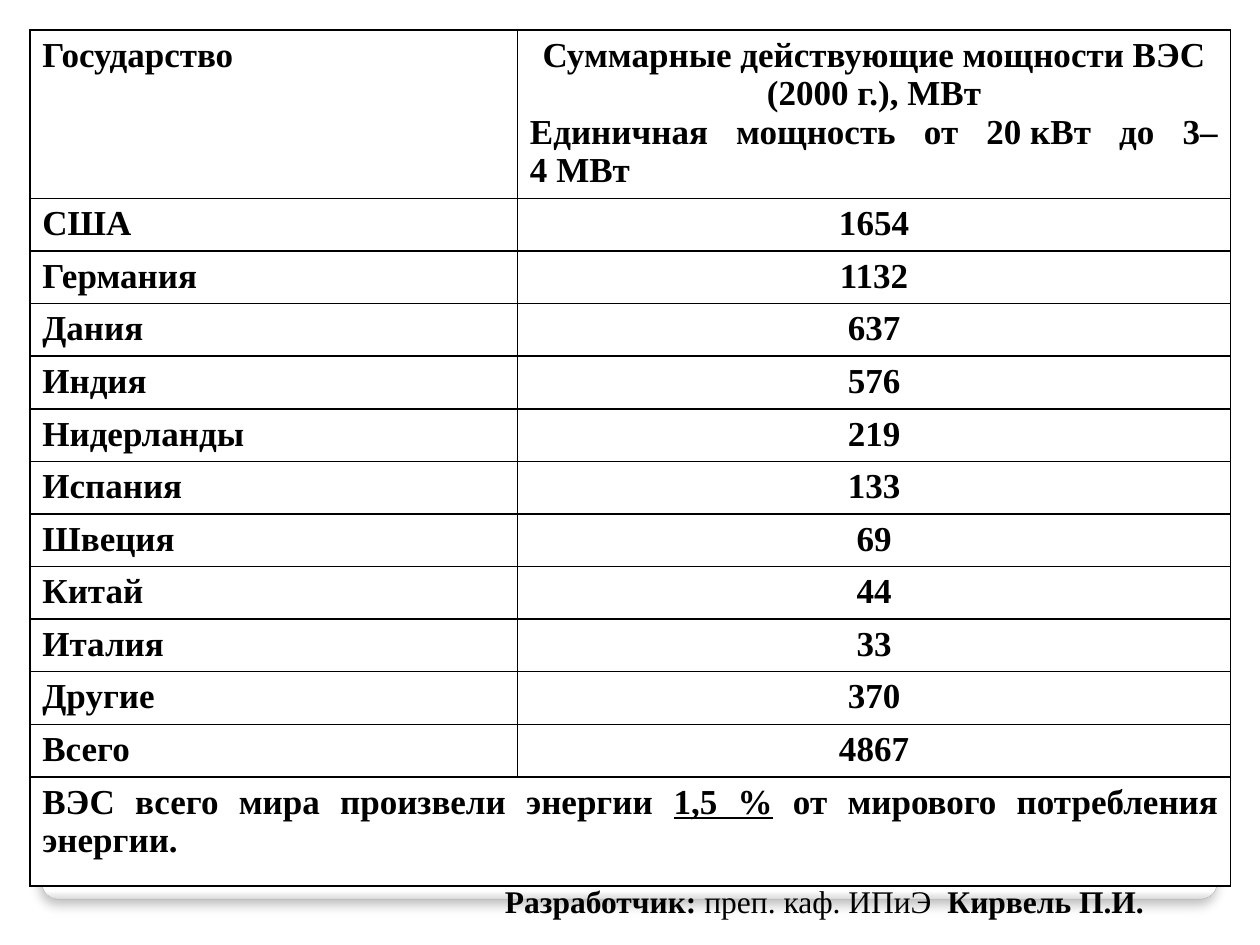
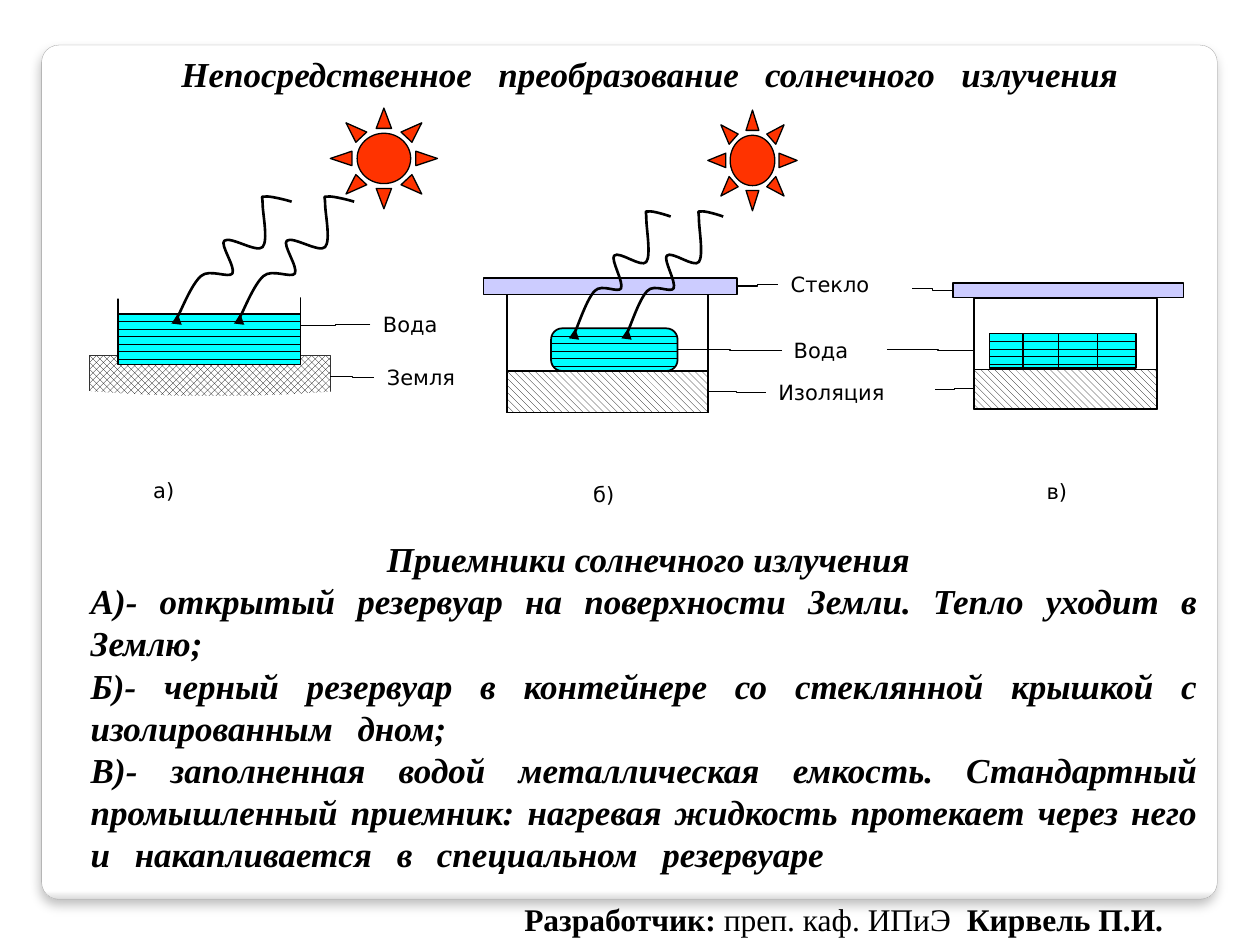
from dataclasses import dataclass

from lxml.etree import SubElement
from pptx import Presentation
from pptx.dml.color import RGBColor
from pptx.enum.dml import MSO_PATTERN as Pattern
from pptx.enum.shapes import MSO_CONNECTOR as Link, MSO_SHAPE as Shape
from pptx.enum.text import PP_ALIGN as Align
from pptx.oxml.ns import qn
from pptx.util import Cm, Pt


@dataclass(frozen=True)
class Theme:
    ink: str = "000000"
    paper: str = "FFFFFF"
    panel_shade: str = "DADADA"
    panel_edge: str = "A4A4A4"
    ground_edge: str = "333333"
    water: str = "00FFFF"
    glass: str = "CCCCFF"
    sun: str = "FF3300"
    serif: str = "Times New Roman"
    sans: str = "DejaVu Sans"
    body_size: float = 20
    footer_size: float = 18
    label_size: float = 12
    thin: float = 0.75
    medium: float = 1
    ray_width: float = 1.5


THEME = Theme()

# Slide 1 data: installed wind power by country, MW
WIND_POWER = [
    ("США", 1654), ("Германия", 1132), ("Дания", 637), ("Индия", 576),
    ("Нидерланды", 219), ("Испания", 133), ("Швеция", 69), ("Китай", 44),
    ("Италия", 33), ("Другие", 370), ("Всего", 4867),
]

# Slide 2 data: "|" marks a widened word gap
RECEIVERS = [
    "А)- открытый резервуар на поверхности Земли. Тепло уходит в Землю;",
    "Б)- черный резервуар в контейнере со стеклянной крышкой с изолированным|дном;",
    "В)- заполненная водой металлическая емкость. Стандартный промышленный "
    "приемник: нагревая жидкость протекает через него и|накапливается|в|"
    "специальном|резервуаре",
]

# Sun ray: Bezier control points in percent of its box
RAY = [
    (100, 5), (97, 4), (80, 0), (77, 1), (73, 1), (75, 0), (75, 7),
    (75, 14), (80, 36), (75, 41), (70, 46), (47, 32), (42, 36),
    (38, 39), (52, 57), (49, 62), (46, 66), (29, 58), (22, 64),
    (14, 70), (5, 91), (2, 96), (0, 100), (4, 93), (4, 92),
    (4, 92), (3, 93), (2, 94),
]


def rgb(value):
    return RGBColor.from_string(value)


def add_text(paragraph, text, *, size=THEME.body_size, font=THEME.serif, bold=True,
             italic=False, underline=False, gap=0, align=None, leading=None):
    """Add text: "|" is a space widened by gap points, "~" a no-break space."""
    if align is not None:
        paragraph.alignment = align
    if leading:
        paragraph.line_spacing = Pt(leading)
    for number, part in enumerate(text.replace("~", chr(160)).split("|")):
        for piece in ([" ", part] if number else [part]):
            if not piece:
                continue
            run = paragraph.add_run()
            run.text = piece
            run.font.size, run.font.name = Pt(size), font
            run.font.bold, run.font.italic = bold, italic
            run.font.underline = underline
            run.font.color.rgb = rgb(THEME.ink)
            if piece == " ":
                run.font._element.set("spc", str(int(gap * 100)))


def round_off(freeform):
    """Turn each three straight segments of a freeform into one Bezier curve."""
    segments = list(freeform._element.iter(qn("a:lnTo")))
    for first, second, third in zip(segments[::3], segments[1::3], segments[2::3]):
        first.tag = qn("a:cubicBezTo")
        for extra in (second, third):
            first.append(extra[0])
            extra.getparent().remove(extra)


class Deck:
    def __init__(self, theme):
        self.theme = theme
        self.show = Presentation()
        self.show.slide_width, self.show.slide_height = Cm(25.4), Cm(19.05)
        self.slide = None

    def new_slide(self):
        self.slide = self.show.slides.add_slide(self.show.slide_layouts[6])
        self.panel()

    def shape(self, kind, x, y, w, h, fill, edge=None, width=THEME.medium,
              pattern=None, corner=None, turn=0):
        item = self.slide.shapes.add_shape(kind, Cm(x), Cm(y), Cm(w), Cm(h))
        item.shadow.inherit = False
        item.rotation = turn
        if corner is not None:
            item.adjustments[0] = corner
        if pattern is None:
            item.fill.solid()
            item.fill.fore_color.rgb = rgb(fill)
        else:
            item.fill.patterned()
            item.fill.pattern = pattern
            item.fill.fore_color.rgb = rgb(self.theme.ink)
            item.fill.back_color.rgb = rgb(fill)
        item.line.color.rgb = rgb(edge or self.theme.ink)
        item.line.width = Pt(width)
        return item

    def panel(self):
        card = self.shape(Shape.ROUNDED_RECTANGLE, 0.84, 0.91, 23.7, 17.22,
                          self.theme.paper, self.theme.panel_edge, 0.16, corner=0.02)
        card.fill.gradient()
        card.fill.gradient_angle = 270
        stops = zip(card.fill.gradient_stops, (0.99, 1),
                    (self.theme.paper, self.theme.panel_shade))
        for stop, position, color in stops:
            stop.position, stop.color.rgb = position, rgb(color)
        effects = card._element.spPr.find(qn("a:effectLst"))
        shadow = SubElement(effects, qn("a:outerShdw"), blurRad=str(Pt(6)),
                            dist=str(Pt(4)), dir="5400000", algn="t", rotWithShape="0")
        color = SubElement(shadow, qn("a:srgbClr"), val=self.theme.ink)
        SubElement(color, qn("a:alpha"), val="25000")

    def box(self, x, y, w, h):
        frame = self.slide.shapes.add_textbox(Cm(x), Cm(y), Cm(w), Cm(h)).text_frame
        frame.word_wrap = True
        return frame

    def label(self, text, x, y, w):
        add_text(self.box(x, y, w, 1.35).paragraphs[0], text, bold=False,
                 size=self.theme.label_size, font=self.theme.sans)

    def footer(self, x, y):
        credit = self.box(x, y, 14.1, 1.02).paragraphs[0]
        for text, bold in (("Разработчик: ", True), ("преп. каф. ИПиЭ|", False),
                           ("Кирвель П.И.", True)):
            add_text(credit, text, bold=bold, size=self.theme.footer_size, gap=4.5)

    def line(self, x1, y1, x2, y2, kind=Link.ELBOW, color=None, width=THEME.thin):
        link = self.slide.shapes.add_connector(kind, Cm(x1), Cm(y1), Cm(x2), Cm(y2))
        link.line.color.rgb = rgb(color or self.theme.ink)
        link.line.width = Pt(width)
        SubElement(link._element.spPr, qn("a:effectLst"))

    def ray(self, x, y, w, h=2.54):
        points = [(Cm(x + w * px / 100), Cm(y + h * py / 100)) for px, py in RAY]
        builder = self.slide.shapes.build_freeform(*points[0])
        builder.add_line_segments(points[1:], close=False)
        wave = builder.convert_to_shape()
        round_off(wave)
        wave.shadow.inherit = False
        wave.fill.background()
        wave.line.color.rgb = rgb(self.theme.ink)
        wave.line.width = Pt(self.theme.ray_width)
        SubElement(wave.line._get_or_add_ln(), qn("a:tailEnd"), type="triangle")

    def sun(self, x, y, w):
        self.shape(Shape.SUN, x, y, w, 2.03, self.theme.sun, width=self.theme.thin)

    def water(self, kind, x, y, w, h, **style):
        self.shape(kind, x, y, w, h, self.theme.water,
                   pattern=Pattern.DASHED_HORIZONTAL, **style)

    def container(self, x, y, w, h, bed, glass):
        """Insulated box of height h with a bed of given height and a glass lid."""
        self.shape(Shape.RECTANGLE, x, y, w, h, self.theme.paper)
        self.shape(Shape.RECTANGLE, x, y + h - bed, w, bed, self.theme.paper,
                   pattern=Pattern.WIDE_DOWNWARD_DIAGONAL)
        self.shape(Shape.RECTANGLE, *glass, self.theme.glass)

    def table(self, x, y, widths, heights):
        grid = self.slide.shapes.add_table(
            len(heights), len(widths), Cm(x), Cm(y),
            Cm(sum(widths)), Cm(sum(heights))).table
        grid.first_row = grid.horz_banding = False
        for column, width in zip(grid.columns, widths):
            column.width = Cm(width)
        for row, height in zip(grid.rows, heights):
            row.height = Cm(height)
            for cell in row.cells:
                self.border(cell)
                cell.fill.solid()
                cell.fill.fore_color.rgb = rgb(self.theme.paper)
        return grid

    def border(self, cell):
        properties = cell._tc.get_or_add_tcPr()
        for side in ("lnL", "lnR", "lnT", "lnB"):
            edge = SubElement(properties, qn(f"a:{side}"), w=str(Pt(self.theme.medium)))
            paint = SubElement(edge, qn("a:solidFill"))
            SubElement(paint, qn("a:srgbClr"), val=self.theme.ink)


def wind_slide(deck):
    deck.new_slide()
    heights = [3.4] + [1.06] * len(WIND_POWER) + [2.2]
    grid = deck.table(0.6, 0.6, (9.83, 14.38), heights)

    def fill_cell(row, column, text, align=Align.LEFT):
        add_text(grid.cell(row, column).text_frame.paragraphs[0], text,
                 align=align, leading=22)

    # Header
    fill_cell(0, 0, "Государство")
    fill_cell(0, 1, "Суммарные действующие мощности ВЭС (2000 г.), МВт", Align.CENTER)
    add_text(grid.cell(0, 1).text_frame.add_paragraph(),
             "Единичная мощность от 20~кВт до 3–4~МВт", align=Align.JUSTIFY, leading=22)

    # Countries
    for row, (country, power) in enumerate(WIND_POWER, start=1):
        fill_cell(row, 0, country)
        fill_cell(row, 1, str(power), Align.CENTER)

    # Summary across both columns
    last = len(heights) - 1
    grid.cell(last, 0).merge(grid.cell(last, 1))
    summary = grid.cell(last, 0).text_frame.paragraphs[0]
    for text, underline in (("ВЭС всего мира произвели энергии ", False), ("1,5 %", True),
                            (" от мирового потребления энергии.", False)):
        add_text(summary, text, underline=underline, align=Align.JUSTIFY, leading=22)
    deck.footer(9.93, 17.65)


def solar_slide(deck):
    theme = deck.theme
    deck.new_slide()

    # Explanations
    notes = deck.box(1.58, 10.72, 22.81, 0.41)
    add_text(notes.paragraphs[0], " Приемники солнечного излучения", italic=True,
             align=Align.CENTER, leading=24)
    for text in RECEIVERS:
        add_text(notes.add_paragraph(), text, italic=True, gap=9,
                 align=Align.JUSTIFY, leading=24)

    # а) open reservoir in the ground
    deck.shape(Shape.RECTANGLE, 2.38, 5.94, 3.68, 1.24, theme.paper)
    deck.shape(Shape.RECTANGLE, 1.81, 7.17, 4.85, 0.82, theme.paper, theme.ground_edge,
               theme.thin, Pattern.OUTLINED_DIAMOND)
    deck.label("Вода", 7.47, 6.16, 2.08)
    deck.label("Земля", 7.55, 7.23, 2.36)
    deck.line(6.66, 7.59, 7.54, 7.61)
    deck.line(7.47, 6.54, 6.07, 6.56)
    deck.water(Shape.RECTANGLE, 2.38, 6.33, 3.68, 1.02)
    deck.line(2.06, 5.97, 6.1, 5.94, Link.STRAIGHT, theme.paper, 3)
    for x in (4.8, 3.54):
        deck.ray(x, 3.94, 2.34)
    deck.sun(6.66, 2.18, 2.16)
    deck.shape(Shape.MOON, 3.84, 5.63, 0.94, 5.44, theme.paper, theme.paper,
               theme.thin, corner=0.875, turn=270)
    deck.label("а)", 2.84, 9.5, 1.19)

    # б) black reservoir under glass
    deck.container(10.22, 5.94, 4.05, 2.38, 0.84, (9.75, 5.61, 5.11, 0.33))
    deck.water(Shape.ROUNDED_RECTANGLE, 11.11, 6.62, 2.55, 0.86, corner=0.26)
    for x in (12.62, 11.56):
        deck.ray(x, 4.24, 1.96)
    deck.sun(14.27, 2.22, 1.8)
    deck.label("Изоляция", 15.44, 7.52, 3.4)
    deck.label("Стекло", 15.69, 5.35, 2.69)
    deck.label("Вода", 15.75, 6.68, 2.08)
    deck.label("б)", 11.71, 9.58, 1.24)
    for ends in ((14.27, 7.9, 15.44, 7.92), (15.77, 7.07, 13.67, 7.05),
                 (14.87, 5.77, 15.68, 5.74), (17.88, 7.05, 19.94, 7.07),
                 (18.39, 5.82, 19.2, 5.85), (18.85, 7.86, 19.63, 7.84)):
        deck.line(*ends)

    # в) metal tank with sections
    deck.container(19.63, 6.02, 3.7, 2.22, 0.79, (19.21, 5.7, 4.65, 0.3))
    deck.water(Shape.RECTANGLE, 19.95, 6.73, 2.95, 0.69, width=theme.thin)
    for x in (20.62, 21.34, 22.12):
        deck.line(x, 6.73, x, 7.44, Link.STRAIGHT)
    deck.label("в)", 20.85, 9.53, 1.22)

    # Title
    heading = deck.box(0.79, 0.79, 23.62, 0.99)
    heading.margin_left, heading.margin_right = Cm(1.24), Cm(0.25)
    heading.margin_top = Cm(0.27)
    add_text(heading.paragraphs[0], "Непосредственное|преобразование|солнечного|излучения",
             italic=True, gap=10, align=Align.CENTER)
    deck.footer(10.32, 18.02)


def main():
    deck = Deck(THEME)
    wind_slide(deck)
    solar_slide(deck)
    deck.show.save("out.pptx")


if __name__ == "__main__":
    main()
